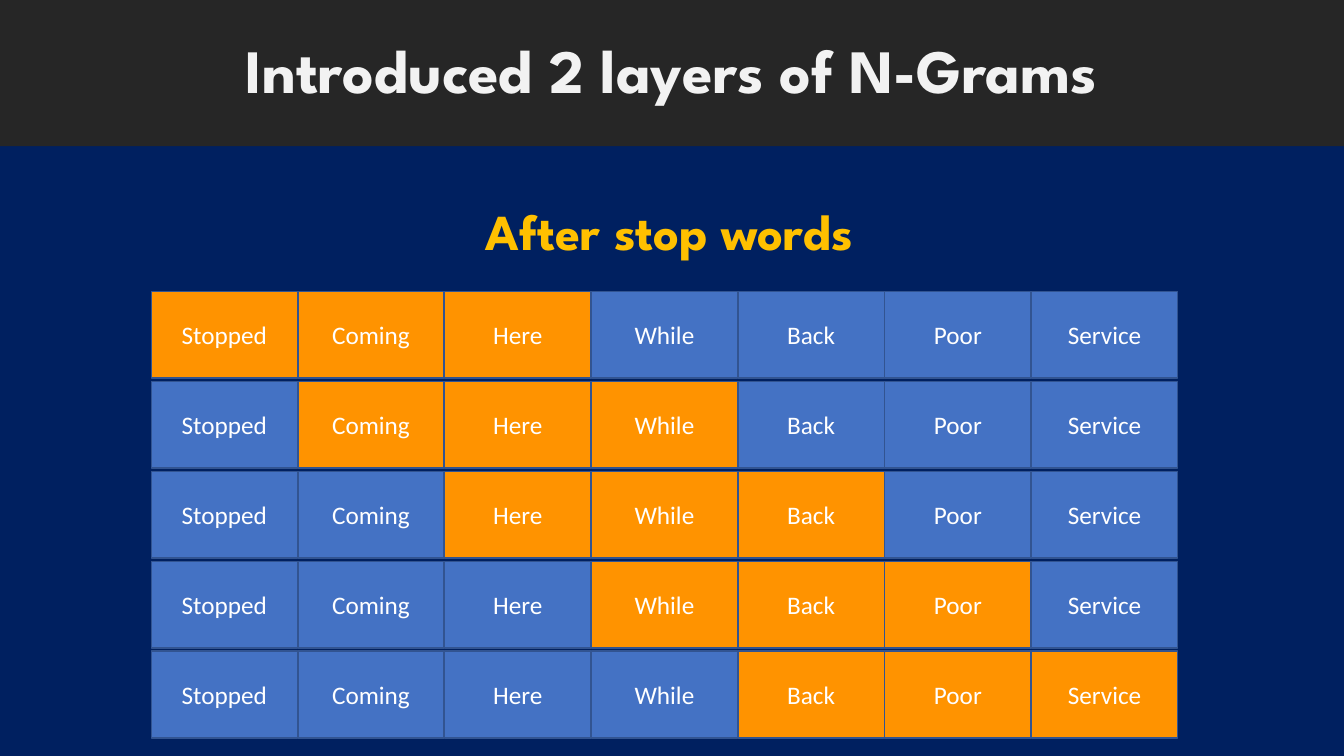
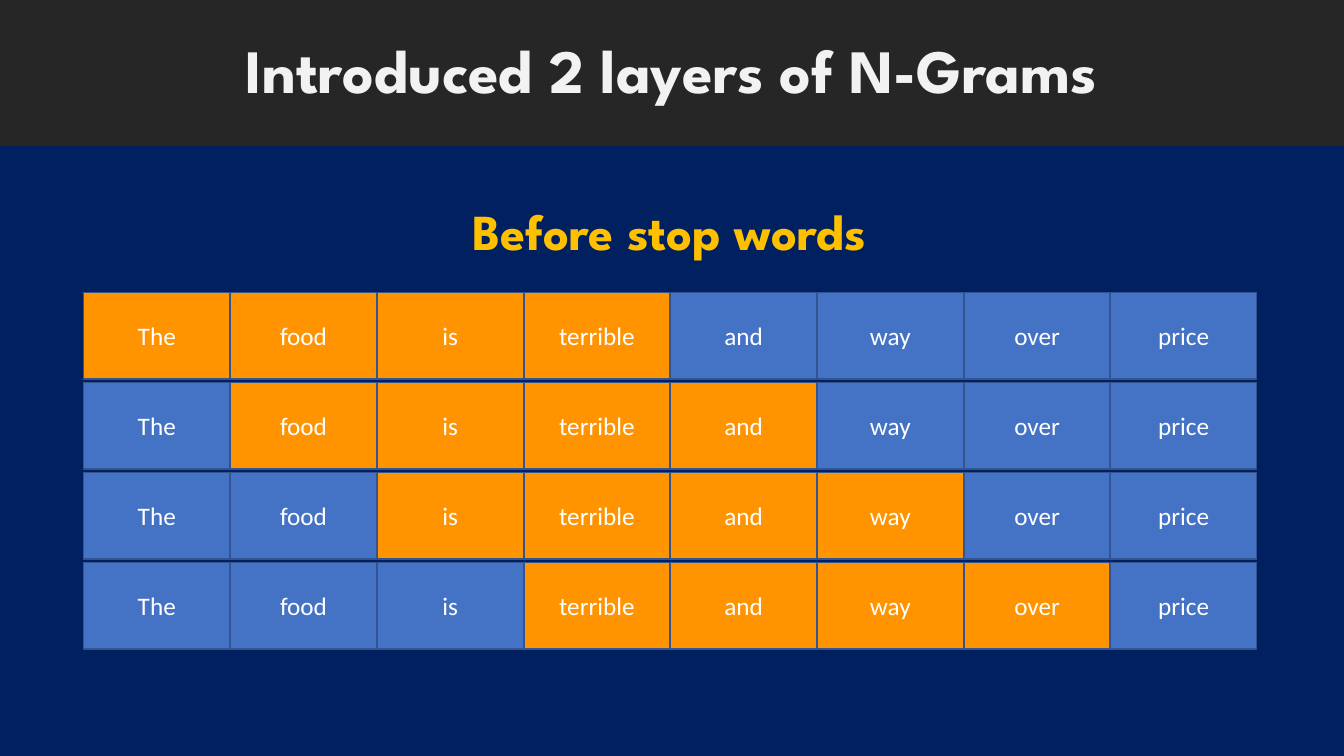
import pptx
import pptx.dml.color
import pptx.enum.shapes
import pptx.enum.text
import pptx.oxml
import pptx.util

Inches = pptx.util.Inches
Pt = pptx.util.Pt
ANCHOR = pptx.enum.text.MSO_ANCHOR

TITLE = "Introduced 2 layers of N-Grams"
SLIDES = [
    {
        "subtitle": "After stop words",
        "words": ["Stopped", "Coming", "Here", "While", "Back", "Poor", "Service"],
        "gram_size": 3, "rows": 5, "left": 1.5, "top": 2.89,
    },
    {
        "subtitle": "Before stop words",
        "words": ["The", "food", "is", "terrible", "and", "way", "over", "price"],
        "gram_size": 4, "rows": 4, "left": 0.83, "top": 2.9,
    },
]

COLORS = {
    "background": "002060", "band": "262626", "title": "F2F2F2", "subtitle": "FFC000",
    "word": "4472C4", "gram": "FF9300", "outline": "325491", "label": "FFFFFF",
}
FONTS = {
    "title": {"name": "League Spartan", "size": Pt(44), "bold": True},
    "subtitle": {"name": "League Spartan", "size": Pt(36), "bold": True},
    "label": {"name": "Calibri", "size": Pt(18), "bold": False},
}
PARAGRAPHS = {
    "title": {"line_spacing": 0.9},
    "subtitle": {"line_spacing": 0.9, "space_before": Pt(10)},
    "label": {},
}
ANCHORS = {"title": ANCHOR.MIDDLE, "subtitle": ANCHOR.TOP, "label": ANCHOR.MIDDLE}

SLIDE_WIDTH, SLIDE_HEIGHT = 13.33, 7.5
TITLE_BOX = (0, 0, SLIDE_WIDTH, 1.45)
SUBTITLE_BOX = (0.17, 2, 12.94, 0.65)
CELL_WIDTH, CELL_HEIGHT = 1.45, 0.86
COLUMN_STEP = CELL_WIDTH * 1.0035
ROW_STEP = CELL_HEIGHT * 1.038


def rgb(color):
    return pptx.dml.color.RGBColor.from_string(color)


def set_values(target, values):
    for name, value in values.items():
        setattr(target, name, value)


def fill_solid(target, color):
    target.fill.solid()
    target.fill.fore_color.rgb = rgb(color)


def place(box, bounds):
    names = ("left", "top", "width", "height")
    set_values(box, dict(zip(names, map(Inches, bounds))))


def write(box, text, style):
    frame = box.text_frame
    set_values(frame, {
        "word_wrap": True,
        "auto_size": pptx.enum.text.MSO_AUTO_SIZE.NONE,
        "vertical_anchor": ANCHORS[style],
    })
    para = frame.paragraphs[0]
    set_values(para, {"alignment": pptx.enum.text.PP_ALIGN.CENTER, **PARAGRAPHS[style]})
    span = para.add_run()
    span.text = text
    set_values(span.font, FONTS[style])
    span.font.color.rgb = rgb(COLORS[style])
    return para


def remove_bullet(para):
    properties = para._p.get_or_add_pPr()
    properties.set("marL", "0")
    properties.set("indent", "0")
    namespace = pptx.oxml.ns.nsdecls("a")
    properties.append(pptx.oxml.parse_xml(f"<a:buNone {namespace}/>"))


def add_headings(page, subtitle):
    title_box = page.shapes.title
    place(title_box, TITLE_BOX)
    fill_solid(title_box, COLORS["band"])
    write(title_box, TITLE, "title")

    subtitle_box = page.placeholders[1]
    place(subtitle_box, SUBTITLE_BOX)
    remove_bullet(write(subtitle_box, subtitle, "subtitle"))


def add_cell(page, bounds, word, color):
    cell = page.shapes.add_shape(
        pptx.enum.shapes.MSO_SHAPE.RECTANGLE, *map(Inches, bounds)
    )
    cell.shadow.inherit = False
    fill_solid(cell, color)
    cell.line.color.rgb = rgb(COLORS["outline"])
    cell.line.width = Pt(1)
    write(cell, word, "label")


def add_sliding_window(page, content):
    for row in range(content["rows"]):
        gram = range(row, row + content["gram_size"])
        top = content["top"] + row * ROW_STEP
        for column, word in enumerate(content["words"]):
            left = content["left"] + column * COLUMN_STEP
            color = COLORS["gram" if column in gram else "word"]
            add_cell(page, (left, top, CELL_WIDTH, CELL_HEIGHT), word, color)


def main():
    deck = pptx.Presentation()
    deck.slide_width = Inches(SLIDE_WIDTH)
    deck.slide_height = Inches(SLIDE_HEIGHT)
    fill_solid(deck.slide_master.background, COLORS["background"])
    for content in SLIDES:
        page = deck.slides.add_slide(deck.slide_layouts[1])
        add_headings(page, content["subtitle"])
        add_sliding_window(page, content)
    deck.save("out.pptx")


if __name__ == "__main__":
    main()
